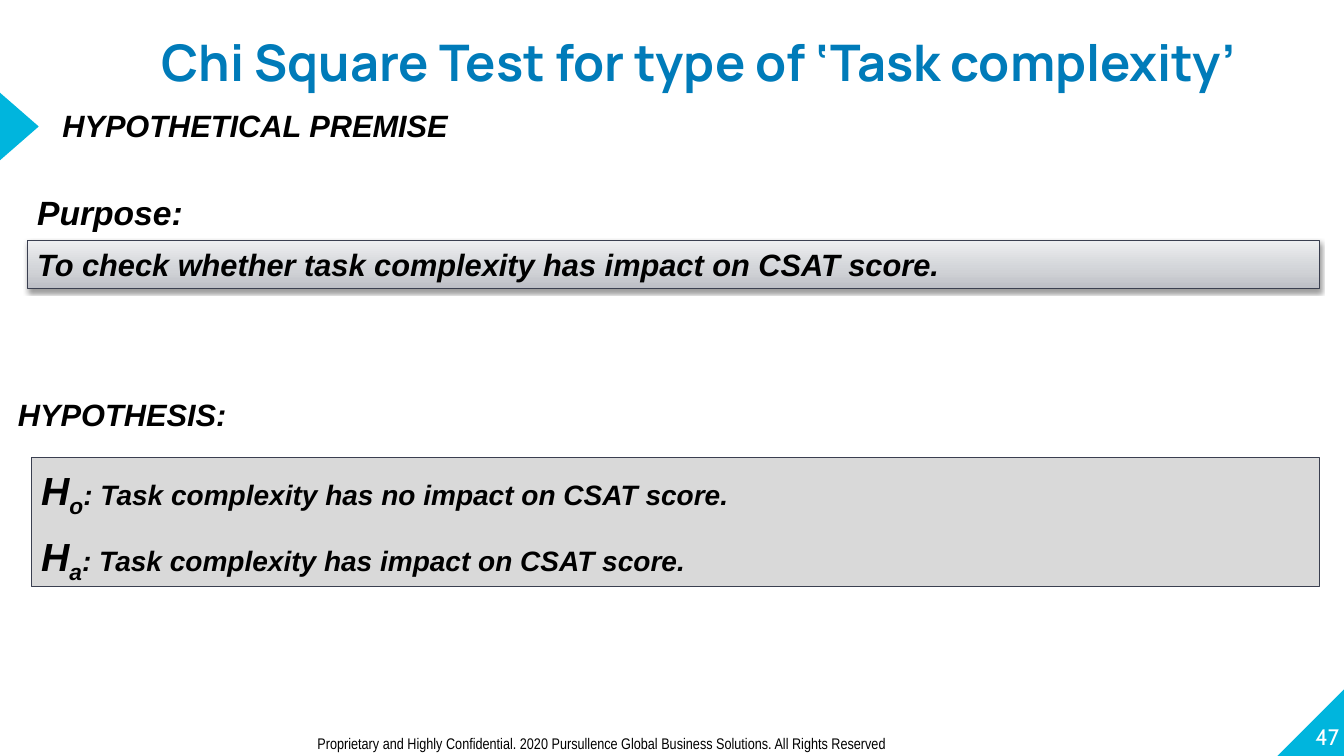
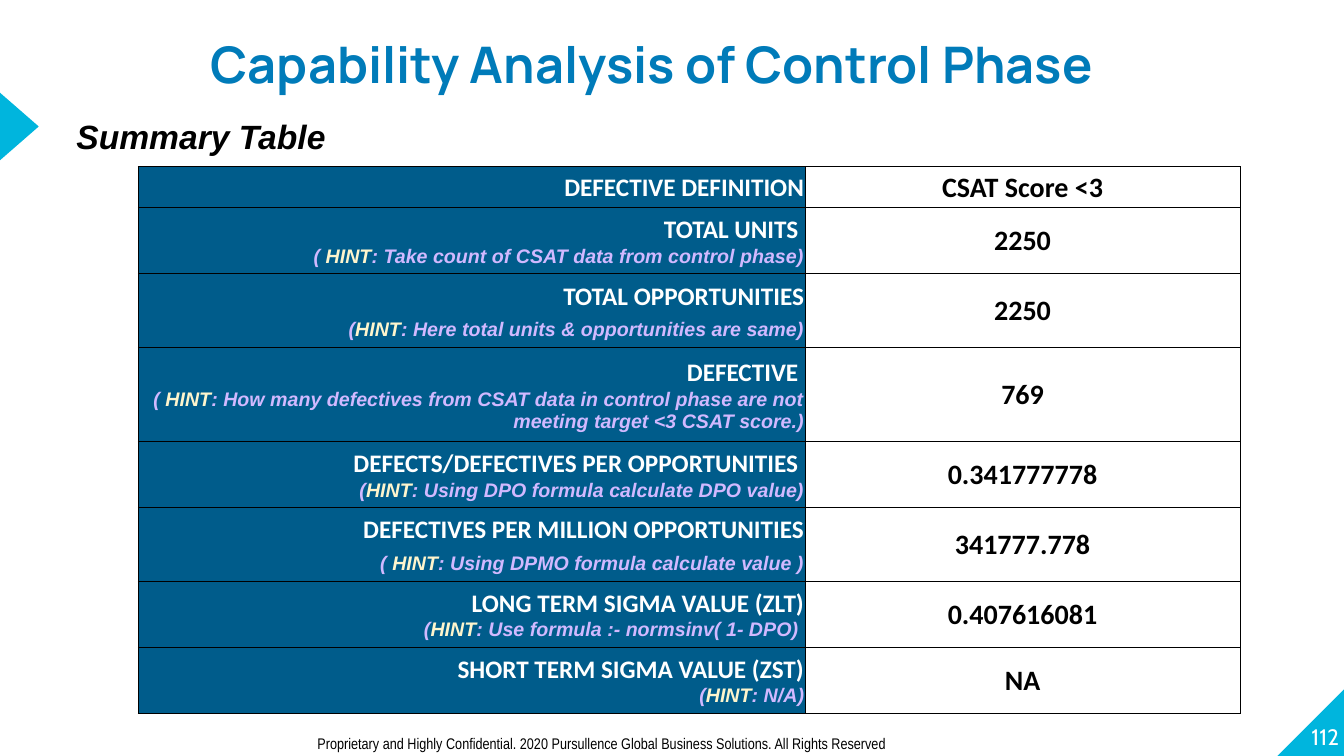
"""Build two project slides: a chi square premise and a capability table."""
from copy import deepcopy
from lxml.etree import SubElement
from pptx import Presentation
from pptx.dml.color import RGBColor
from pptx.enum.shapes import MSO_SHAPE
from pptx.enum.text import MSO_ANCHOR, MSO_AUTO_SIZE, PP_ALIGN
from pptx.oxml.ns import qn
from pptx.util import Inches, Pt

HUES = {"cyan": "00B5DD", "blue": "007BB9", "navy": "005C8B", "black": "000000",
        "white": "FFFFFF", "gray": "D9D9D9", "edge": "3A3F50", "lilac": "D1B9FF",
        "cream": "FEF5CD", "dark": "BCBEC5", "mid": "D0D2D6", "light": "EDEEF0"}
RGB = {name: RGBColor.from_string(code) for name, code in HUES.items()}
FOOT = ("Proprietary and Highly Confidential. 2020 Pursullence Global Business "
        "Solutions. All Rights Reserved")

deck = Presentation()
deck.slide_width, deck.slide_height = Inches(13.33), Inches(7.5)


def area(left, top, width, height):
    """Turn percent shares of the slide into lengths."""
    wide, high = deck.slide_width / 100, deck.slide_height / 100
    return int(left * wide), int(top * high), int(width * wide), int(height * high)


def style(part, name, size, hue, bold=False, slant=False):
    """Set the font of a paragraph or run."""
    font = part.font
    font.name, font.size, font.bold, font.italic = name, Pt(size), bold, slant
    font.color.rgb = RGB[hue]


TITLES = [
    ("Chi Square Test for type of ‘Task complexity’", "47",
     (11.25, 2.53, 81.47, 7.2), MSO_ANCHOR.MIDDLE),
    ("Capability Analysis of Control Phase", "112",
     (12.08, 0.4, 72.84, 10.13), MSO_ANCHOR.TOP),
]
slides = []
for text, page, spot, anchor in TITLES:
    slide = deck.slides.add_slide(deck.slide_layouts[5])
    slides.append(slide)
    for kind, place, turn in [
            (MSO_SHAPE.RIGHT_TRIANGLE, (95.05, 90.93, 5.1, 9.07), 270),
            (MSO_SHAPE.ISOSCELES_TRIANGLE, (-1.13, 14.13, 5.1, 5.2), 90)]:
        mark = slide.shapes.add_shape(kind, *area(*place))
        mark.rotation = turn
        mark.shadow.inherit = False
        mark.fill.solid()
        mark.fill.fore_color.rgb = RGB["cyan"]
        mark.line.fill.background()

    title = slide.shapes.title
    title.left, title.top, title.width, title.height = area(*spot)
    num = slide.shapes.add_textbox(*area(94.6, 90.13, 5.03, 9.07))
    for shape, words, side, hold in [(title, text, PP_ALIGN.CENTER, anchor),
                                     (num, page, PP_ALIGN.RIGHT, MSO_ANCHOR.BOTTOM)]:
        frame = shape.text_frame
        frame.text = words
        frame.word_wrap = True
        frame.auto_size = MSO_AUTO_SIZE.NONE
        frame.vertical_anchor = hold
        frame.margin_left = frame.margin_right = 0
        frame.margin_top = frame.margin_bottom = 0
        frame.paragraphs[0].alignment = side
    title.text_frame.paragraphs[0].line_spacing = 1.5
    style(title.text_frame.paragraphs[0], "Manrope", 36, "blue", True)
    style(num.text_frame.paragraphs[0], "Cabin", 16, "white")

    foot = slide.shapes.add_textbox(*area(22.88, 96.4, 63.84, 3.87)).text_frame
    foot.text = FOOT
    foot.word_wrap = True
    style(foot.paragraphs[0], "Arial Narrow", 11, "black")

test, summary = slides

HEADS = [
    (test, "HYPOTHETICAL PREMISE", 22, 3.9, 13.47),
    (test, "Purpose:", 24, 2.03, 24.7),
    (test, "HYPOTHESIS:", 22, 0.6, 51.65),
    (summary, "Summary Table", 24, 4.95, 14.67),
]
for slide, words, size, left, top in HEADS:
    frame = slide.shapes.add_textbox(*area(left, top, 40, 6.4)).text_frame
    frame.text = words
    frame.word_wrap = True
    style(frame.paragraphs[0], "Arial", size, "black", True, True)

bar = test.shapes.add_shape(MSO_SHAPE.RECTANGLE, *area(2.03, 31.87, 96.17, 6.27))
panel = test.shapes.add_shape(MSO_SHAPE.RECTANGLE, *area(2.33, 60.53, 95.87, 17.07))
for shape in (bar, panel):
    shape.shadow.inherit = False
    shape.line.color.rgb = RGB["edge"]
    shape.line.width = Pt(0.75)

bar.fill.gradient()
bar.fill.gradient_angle = 90
for stop, hue in zip(bar.fill.gradient_stops, ("dark", "light")):
    stop.color.rgb = RGB[hue]
stops = bar._element.spPr.find(".//" + qn("a:gsLst"))
stops.insert(1, deepcopy(stops[0]))
for stop, hue, spot in zip(bar.fill.gradient_stops, ("dark", "mid", "light"), (0, 0.35, 1)):
    stop.color.rgb = RGB[hue]
    stop.position = spot
glow = SubElement(bar._element.spPr.find(qn("a:effectLst")), qn("a:outerShdw"),
                  blurRad=str(Pt(3.1)), dist=str(Pt(1.6)), dir="5400000", rotWithShape="0")
tint = SubElement(glow, qn("a:srgbClr"), val=HUES["black"])
SubElement(tint, qn("a:alpha"), val="38000")
bar.text_frame.text = "To check whether task complexity has impact on CSAT score."
goal = bar.text_frame.paragraphs[0]
goal.alignment = PP_ALIGN.LEFT
style(goal, "Arial", 22, "black", True, True)

panel.fill.solid()
panel.fill.fore_color.rgb = RGB["gray"]
frame = panel.text_frame
frame.vertical_anchor = MSO_ANCHOR.TOP
frame.margin_top = Pt(4)
frame.margin_bottom = 0
for row, (sub, claim) in enumerate([("o", ": Task complexity has no impact on CSAT score."),
                                    ("a", ": Task complexity has impact on CSAT score.")]):
    para = frame.add_paragraph() if row else frame.paragraphs[0]
    para.alignment = PP_ALIGN.LEFT
    para.line_spacing = 1.05
    if row:
        para.space_before = Pt(7)
    for words, size in (("H", 28), (sub, 28), (claim, 20)):
        run = para.add_run()
        run.text = words
        style(run, "Arial", size, "black", True, True)
    para.runs[1].font._element.set("baseline", "-25000")

ROWS = [
    ("DEFECTIVE DEFINITION", "", "", "CSAT Score <3", 5.47, 0),
    ("TOTAL UNITS ", "( ", ": Take count of CSAT data from control phase)", "2250", 8.72, 0),
    ("TOTAL OPPORTUNITIES", "(", ": Here total units & opportunities are same)",
     "2250", 9.8, 5),
    ("DEFECTIVE ", "( ", ": How many defectives from CSAT data in control phase are not "
     "meeting target <3 CSAT score.)", "769", 12.4, 0),
    ("DEFECTS/DEFECTIVES PER OPPORTUNITIES ", "(",
     ": Using DPO formula calculate DPO value)", "0.341777778", 8.72, 0),
    ("DEFECTIVES PER MILLION OPPORTUNITIES", "( ",
     ": Using DPMO formula calculate value )", "341777.778", 9.8, 5),
    ("LONG TERM SIGMA VALUE (ZLT)", "(", ": Use formula :- normsinv( 1- DPO) ",
     "0.407616081", 8.72, 0),
    ("SHORT TERM SIGMA VALUE (ZST)", "(", ": N/A)", "NA", 8.72, 0),
]
tall = sum(row[4] for row in ROWS)
grid = summary.shapes.add_table(len(ROWS), 2, *area(10.28, 22, 82, tall)).table
grid.first_row = grid.horz_banding = False
for col, share in zip(grid.columns, (49.62, 32.38)):
    col.width = area(0, 0, share, 0)[2]

for row, (label, lead, hint, value, share, gap) in enumerate(ROWS):
    grid.rows[row].height = area(0, 0, 0, share)[3]
    name, score = grid.cell(row, 0), grid.cell(row, 1)
    for cell, words, side, size, hue in [(name, label, PP_ALIGN.RIGHT, 18, "white"),
                                         (score, value, PP_ALIGN.CENTER, 20, "black")]:
        cell.text = words
        cell.vertical_anchor = MSO_ANCHOR.MIDDLE
        cell.margin_left = cell.margin_right = cell.margin_top = Pt(0.7)
        cell.margin_bottom = 0
        para = cell.text_frame.paragraphs[0]
        para.alignment = side
        style(para, "Calibri", size, hue, True)
        for edge in ("a:lnL", "a:lnR", "a:lnT", "a:lnB"):
            line = SubElement(cell._tc.get_or_add_tcPr(), qn(edge), w=str(Pt(0.5)))
            SubElement(SubElement(line, qn("a:solidFill")), qn("a:srgbClr"), val=HUES["black"])
    name.fill.solid()
    name.fill.fore_color.rgb = RGB["navy"]
    score.fill.background()
    if hint:
        para = name.text_frame.add_paragraph()
        para.alignment = PP_ALIGN.RIGHT
        para.space_before = Pt(gap)
        for words, hue in ((lead, "lilac"), ("HINT", "cream"), (hint, "lilac")):
            run = para.add_run()
            run.text = words
            style(run, "Arial", 14, hue, True, True)

deck.save("out.pptx")
